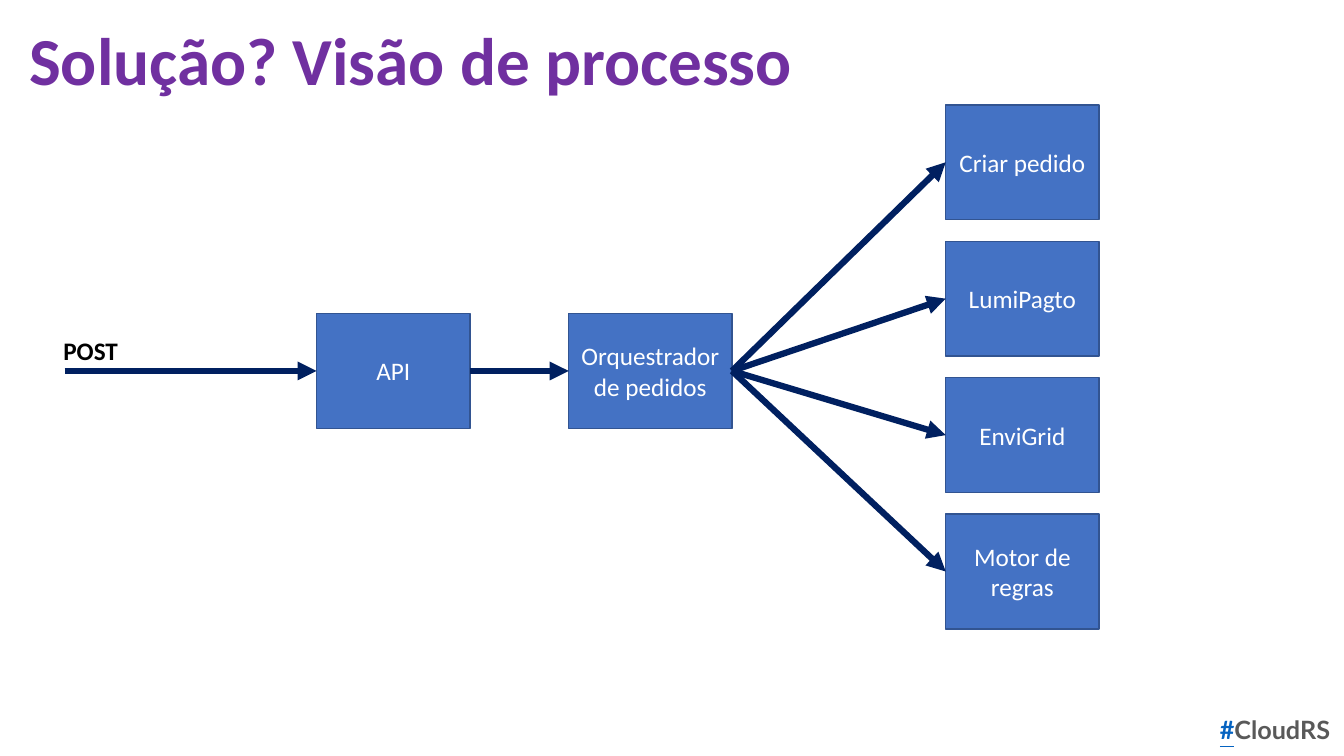
from lxml import etree
from pptx import Presentation
from pptx.dml.color import RGBColor
from pptx.enum.shapes import MSO_CONNECTOR, MSO_SHAPE
from pptx.enum.text import MSO_ANCHOR, MSO_AUTO_SIZE, PP_ALIGN
from pptx.oxml.ns import qn
from pptx.util import Inches, Pt

RECTANGLE = MSO_SHAPE.RECTANGLE
STRAIGHT = MSO_CONNECTOR.STRAIGHT
LEFT, CENTER = PP_ALIGN.LEFT, PP_ALIGN.CENTER
TOP, MIDDLE = MSO_ANCHOR.TOP, MSO_ANCHOR.MIDDLE
NO_AUTOFIT = MSO_AUTO_SIZE.NONE
TITLE_ONLY = 5

BOX_WIDTH, BOX_HEIGHT = 1.52, 1.14
FLOW_Y = 3.68
STEP_X, STEP_TOP, STEP_BOTTOM = 9.38, 1.04, 5.1


def rgb(color):
    return RGBColor.from_string(color)


class ProcessSlide:
    font_name = "Calibri"
    box_fill, box_line, arrow_color = "4472C4", "325491", "002060"

    def __init__(self, deck):
        self.slide = deck.slides.add_slide(deck.slide_layouts[TITLE_ONLY])

    def style(self, font, size, color, bold=False, name=None):
        font.name = name or self.font_name
        font.size, font.bold = Pt(size), bold
        font.color.rgb = rgb(color)

    def title(self, text, left, top, width, height):
        title = self.slide.shapes.title
        title.left, title.top = Inches(left), Inches(top)
        title.width, title.height = Inches(width), Inches(height)
        frame = title.text_frame
        frame.text = text
        frame.word_wrap, frame.auto_size = False, NO_AUTOFIT
        frame.vertical_anchor = TOP
        heading = frame.paragraphs[0]
        heading.alignment = LEFT
        self.style(heading.font, 48, "7030A0", bold=True)

    def label(self, left, top, width, height):
        """Add an empty text box and return its first paragraph."""
        label = self.slide.shapes.add_textbox(
            Inches(left), Inches(top), Inches(width), Inches(height))
        label.text_frame.word_wrap = False
        return label.text_frame.paragraphs[0]

    def box(self, text, left, top, width=BOX_WIDTH):
        box = self.slide.shapes.add_shape(
            RECTANGLE, Inches(left), Inches(top), Inches(width), Inches(BOX_HEIGHT))
        box.shadow.inherit = False
        box.fill.solid()
        box.fill.fore_color.rgb = rgb(self.box_fill)
        box.line.color.rgb = rgb(self.box_line)
        box.line.width = Pt(1)
        frame = box.text_frame
        frame.text = text
        frame.word_wrap, frame.vertical_anchor = True, MIDDLE
        caption = frame.paragraphs[0]
        caption.alignment = CENTER
        self.style(caption.font, 18, "FFFFFF")

    def arrow(self, start_x, end_x, end_y=FLOW_Y):
        """Draw an arrow that starts on the main flow line."""
        arrow = self.slide.shapes.add_connector(
            STRAIGHT, Inches(start_x), Inches(FLOW_Y), Inches(end_x), Inches(end_y))
        arrow.line.color.rgb = rgb(self.arrow_color)
        arrow.line.width = Pt(4.5)
        outline = arrow._element.spPr.find(qn("a:ln"))
        etree.SubElement(outline, qn("a:tailEnd"), type="triangle")
        etree.SubElement(arrow._element.spPr, qn("a:effectLst"))


def main():
    deck = Presentation()
    deck.slide_width, deck.slide_height = Inches(13.33), Inches(7.5)
    process = ProcessSlide(deck)
    process.title("Solução? Visão de processo", 0.19, 0.13, 7.85, 0.91)

    hashtag = process.label(12, 7.04, 1.33, 0.41)
    for text, color, underlined in (("#", "0563C1", True), ("CloudRS", "595959", False)):
        run = hashtag.add_run()
        run.text = text
        process.style(run.font, 18, color, bold=True, name="Lato")
        run.font.underline = underlined

    post = process.label(0.53, 3.28, 0.75, 0.4)
    post.text = "POST"
    process.style(post.font, 18, "000000", bold=True)

    process.box("API", 3.14, FLOW_Y - BOX_HEIGHT / 2)
    process.box("Orquestrador de pedidos", 5.64, FLOW_Y - BOX_HEIGHT / 2, 1.62)
    process.arrow(0.64, 3.14)
    process.arrow(3.14 + BOX_WIDTH, 5.64)

    steps = ("Criar pedido", "LumiPagto", "EnviGrid", "Motor de regras")
    pitch = (STEP_BOTTOM - STEP_TOP) / (len(steps) - 1)
    for index, step in enumerate(steps):
        top = STEP_TOP + index * pitch
        process.box(step, STEP_X, top)
        process.arrow(7.26, STEP_X, top + BOX_HEIGHT / 2)

    deck.save("out.pptx")


if __name__ == "__main__":
    main()
